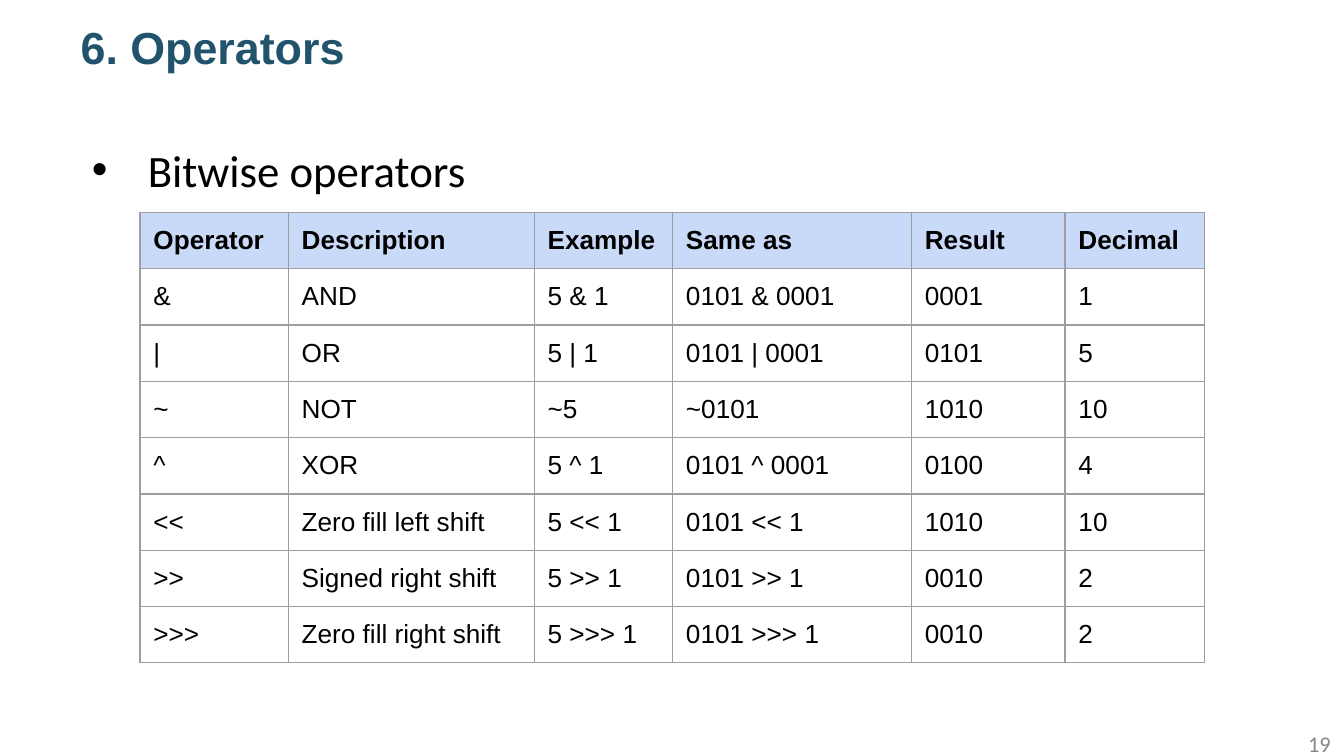
from lxml import etree
from pptx import Presentation
from pptx.dml.color import RGBColor
from pptx.enum.text import MSO_ANCHOR, MSO_AUTO_SIZE, PP_ALIGN
from pptx.oxml.ns import qn
from pptx.util import Pt

LEFT, RIGHT = PP_ALIGN.LEFT, PP_ALIGN.RIGHT
TOP, MIDDLE = MSO_ANCHOR.TOP, MSO_ANCHOR.MIDDLE
NO_AUTOFIT = MSO_AUTO_SIZE.NONE

TEAL = RGBColor(0x21, 0x53, 0x6C)
BLACK = RGBColor(0x00, 0x00, 0x00)
GRAY = RGBColor(0x88, 0x88, 0x88)
BORDER = RGBColor(0x9E, 0x9E, 0x9E)
HEADER_FILL = RGBColor(0xC9, 0xDA, 0xF8)

COLUMN_WIDTHS = [79.4, 131.8, 74.1, 128, 82.3, 74.6]
ROW_HEIGHT = 30.1
OPERATORS = [
    ["Operator", "Description", "Example", "Same as", "Result", "Decimal"],
    ["&", "AND", "5 & 1", "0101 & 0001", "0001", "1"],
    ["|", "OR", "5 | 1", "0101 | 0001", "0101", "5"],
    ["~", "NOT", "~5", "~0101", "1010", "10"],
    ["^", "XOR", "5 ^ 1", "0101 ^ 0001", "0100", "4"],
    ["<<", "Zero fill left shift", "5 << 1", "0101 << 1", "1010", "10"],
    [">>", "Signed right shift", "5 >> 1", "0101 >> 1", "0010", "2"],
    [">>>", "Zero fill right shift", "5 >>> 1", "0101 >>> 1", "0010", "2"],
]


def place(sp, left, top, width, height):
    sp.left, sp.top = Pt(left), Pt(top)
    sp.width, sp.height = Pt(width), Pt(height)


def write(tf, text, size, font, color, bold=False, align=LEFT):
    p = tf.paragraphs[0]
    p.alignment = align
    p.space_before = Pt(0)
    r = p.add_run()
    r.text = text
    r.font.size = Pt(size)
    r.font.name = font
    r.font.bold = bold
    r.font.color.rgb = color
    return p


def set_frame(tf, anchor):
    tf.word_wrap = True
    tf.auto_size = NO_AUTOFIT
    tf.vertical_anchor = anchor


def set_bullet(p, indent, hanging):
    pPr = p._p.get_or_add_pPr()
    pPr.set("marL", str(Pt(indent)))
    pPr.set("indent", str(-Pt(hanging)))
    clr = etree.SubElement(pPr, qn("a:buClr"))
    etree.SubElement(clr, qn("a:srgbClr"), val=str(BLACK))
    etree.SubElement(pPr, qn("a:buFont"), typeface="Arial")
    etree.SubElement(pPr, qn("a:buChar"), char="•")


def set_borders(cell):
    tcPr = cell._tc.get_or_add_tcPr()
    for i, side in enumerate(("a:lnL", "a:lnR", "a:lnT", "a:lnB")):
        ln = etree.Element(qn(side), w=str(Pt(0.75)))
        fill = etree.SubElement(ln, qn("a:solidFill"))
        etree.SubElement(fill, qn("a:srgbClr"), val=str(BORDER))
        tcPr.insert(i, ln)


def format_cell(cell, text, header):
    cell.margin_left = cell.margin_right = Pt(7.2)
    cell.margin_top = cell.margin_bottom = Pt(7.2)
    if header:
        cell.fill.solid()
        cell.fill.fore_color.rgb = HEADER_FILL
    else:
        cell.fill.background()
    set_borders(cell)
    write(cell.text_frame, text, 14, "Arial", BLACK, bold=header)


def add_operator_table(s, left, top):
    frame = s.shapes.add_table(
        len(OPERATORS), len(COLUMN_WIDTHS), Pt(left), Pt(top),
        Pt(sum(COLUMN_WIDTHS)), Pt(ROW_HEIGHT * len(OPERATORS)))
    table = frame.table
    table.horz_banding = False
    for column, width in zip(table.columns, COLUMN_WIDTHS):
        column.width = Pt(width)
    for i, values in enumerate(OPERATORS):
        table.rows[i].height = Pt(ROW_HEIGHT)
        for j, text in enumerate(values):
            format_cell(table.cell(i, j), text, header=i == 0)


def main():
    prs = Presentation()
    prs.slide_width, prs.slide_height = Pt(720), Pt(405)
    s = prs.slides.add_slide(prs.slide_layouts[1])

    # Title
    title = s.shapes.title
    place(title, 36, 0, 528.5, 50.4)
    set_frame(title.text_frame, MIDDLE)
    write(title.text_frame, "6. Operators", 24, "Arial", TEAL, bold=True)

    # Bulleted list
    body = s.placeholders[1]
    place(body, 36, 72.7, 648, 289.4)
    set_frame(body.text_frame, TOP)
    p = write(body.text_frame, "Bitwise operators", 24, "Calibri", BLACK)
    set_bullet(p, 36, 30)

    # Slide number
    number = s.shapes.add_textbox(Pt(552.2), Pt(387.4), Pt(167.8), Pt(21.6))
    set_frame(number.text_frame, MIDDLE)
    write(number.text_frame, "19", 12, "Calibri", GRAY, align=RIGHT)

    # Operator table
    add_operator_table(s, 75, 113.8)

    prs.save("out.pptx")


main()
